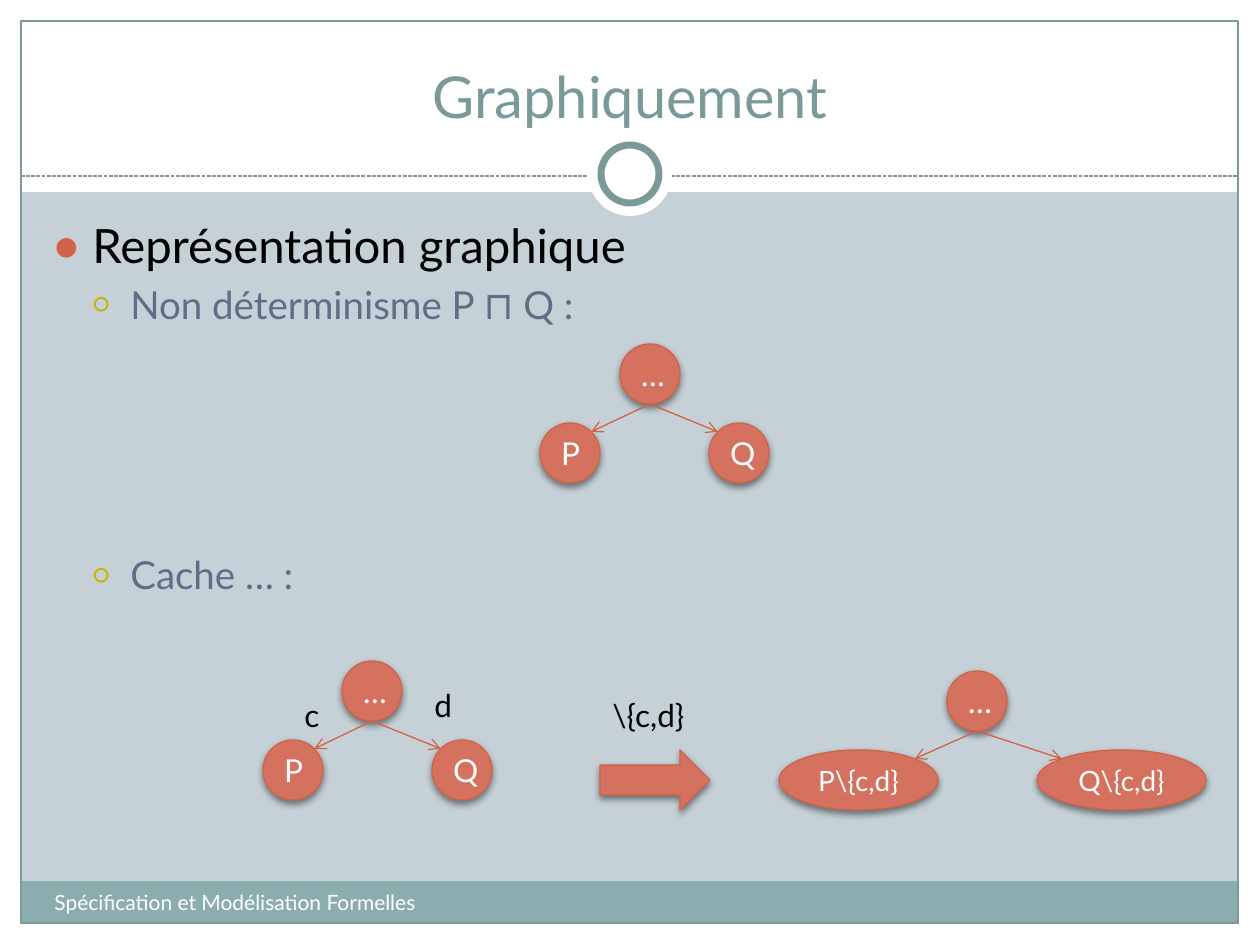
from dataclasses import dataclass
from math import cos, pi
from lxml.etree import SubElement
from pptx import Presentation
from pptx.dml.color import RGBColor
from pptx.enum.dml import MSO_LINE
from pptx.enum.shapes import MSO_CONNECTOR, MSO_SHAPE
from pptx.enum.text import MSO_ANCHOR, PP_ALIGN
from pptx.oxml.ns import qn
from pptx.util import Inches, Pt


@dataclass(frozen=True)
class Theme:
    font: str = "Lato"
    white: str = "FFFFFF"
    black: str = "000000"
    background: str = "C5D1D7"
    band: str = "8CADAE"
    frame: str = "7C999A"
    node: str = "D4725F"
    accent: str = "D16349"
    gold: str = "CCB400"
    slate: str = "646B86"
    title: int = 33
    heading: int = 27
    item: int = 22
    label: int = 18
    small_label: int = 16
    footer: int = 12


theme = Theme()
SCALE = Inches(1) / 126
NODE = 60
INDENT = 38

TITLE = "Graphiquement"
FOOTER = "Spécification et Modélisation Formelles"
BULLETS = [
    dict(text="Représentation graphique", size=theme.heading, color=theme.black,
         bullet="●", bullet_color=theme.accent, bullet_size=85, level=0, before=0),
    dict(text="Non déterminisme P ⊓ Q :", size=theme.item, color=theme.slate,
         bullet="○", bullet_color=theme.gold, bullet_size=70, level=1, before=4.4),
    dict(text="Cache … :", size=theme.item, color=theme.slate,
         bullet="○", bullet_color=theme.gold, bullet_size=70, level=1, before=128),
]
TREES = [
    dict(root=(620, 344), size=theme.label, children=[("P", 540, 60), ("Q", 709, 60)]),
    dict(root=(342, 661), size=theme.label, children=[("P", 263, 60), ("Q", 432, 60)]),
    dict(root=(947, 671), size=theme.small_label,
         children=[("P\\{c,d}", 779, 159), ("Q\\{c,d}", 1037, 169)]),
]
CHILD_DROP = 79
LABELS = [("c", 292, 690, 40), ("d", 422, 680, 44), ("\\{c,d}", 600, 690, 100)]
MARGINS = [(0, 924, 1260, 21), (0, 0, 1260, 192), (0, 0, 21, 945), (1239, 0, 21, 945)]

deck = Presentation()
deck.slide_width, deck.slide_height = Inches(10), Inches(7.5)
page = deck.slides.add_slide(deck.slide_layouts[6])
page.background.fill.solid()
page.background.fill.fore_color.rgb = RGBColor.from_string(theme.background)


def emu(*lengths):
    return [round(length * SCALE) for length in lengths]


def write(para, text, size=theme.label, color=theme.black, align=PP_ALIGN.LEFT):
    para.alignment = align
    span = para.add_run()
    span.text = text
    span.font.name = theme.font
    span.font.size = Pt(size)
    span.font.color.rgb = RGBColor.from_string(color)


def add_text(area, text, anchor=MSO_ANCHOR.TOP, wrap=True, **style):
    box = page.shapes.add_textbox(*emu(*area))
    box.text_frame.word_wrap = wrap
    box.text_frame.vertical_anchor = anchor
    write(box.text_frame.paragraphs[0], text, **style)


def add_outline(shape, color, width):
    shape.line.color.rgb = RGBColor.from_string(color)
    shape.line.width = Pt(width)


def add_block(kind, area, fill=None, line=None, width=0.75):
    shape = page.shapes.add_shape(kind, *emu(*area))
    shape.shadow.inherit = False
    if fill:
        shape.fill.solid()
        shape.fill.fore_color.rgb = RGBColor.from_string(fill)
    else:
        shape.fill.background()
    if line:
        add_outline(shape, line, width)
    else:
        shape.line.fill.background()
    return shape


def add_raised(kind, area):
    shape = add_block(kind, area, theme.node, theme.accent)
    effects = shape._element.spPr.find(qn("a:effectLst"))
    shadow = SubElement(effects, qn("a:outerShdw"), blurRad=str(Pt(4)), dist=str(Pt(2)),
                        dir="5400000", algn="ctr", rotWithShape="0")
    color = SubElement(shadow, qn("a:srgbClr"), val=theme.black)
    SubElement(color, qn("a:alpha"), val="45000")
    return shape


def add_node(text, area, size):
    shape = add_raised(MSO_SHAPE.OVAL, area)
    shape.text_frame.vertical_anchor = MSO_ANCHOR.MIDDLE
    write(shape.text_frame.paragraphs[0], text, size=size, color=theme.white,
          align=PP_ALIGN.CENTER)


def add_line(start, end, color):
    line = page.shapes.add_connector(MSO_CONNECTOR.STRAIGHT, *emu(*start, *end))
    add_outline(line, color, 0.75)
    SubElement(line._element.spPr, qn("a:effectLst"))
    return line


def add_tree(root, size, children):
    left, top = root
    add_node("…", (left, top, NODE, NODE), theme.label)
    start = (left + NODE / 2, top + NODE)
    for (text, child_left, width), side in zip(children, (1, -1)):
        child_top = top + CHILD_DROP
        add_node(text, (child_left, child_top, width, NODE), size)
        end = (child_left + width / 2 * (1 + side * cos(pi / 4)),
               child_top + NODE / 2 * (1 - cos(pi / 4)))
        edge = add_line(start, end, theme.accent)
        SubElement(edge.line._get_or_add_ln(), qn("a:tailEnd"), type="arrow")


def add_bullet(para, bullet, bullet_color, bullet_size, level, before, **style):
    write(para, **style)
    para.level = level
    para.space_before = Pt(before)
    properties = para._p.get_or_add_pPr()
    indent, = emu(INDENT)
    properties.set("marL", str(indent * (level + 1)))
    properties.set("indent", str(-indent))
    color = SubElement(properties, qn("a:buClr"))
    SubElement(color, qn("a:srgbClr"), val=bullet_color)
    SubElement(properties, qn("a:buSzPct"), val=str(bullet_size * 1000))
    SubElement(properties, qn("a:buFont"), typeface=theme.font)
    SubElement(properties, qn("a:buChar"), char=bullet)


for margin in MARGINS:
    add_block(MSO_SHAPE.RECTANGLE, margin, theme.white)
add_block(MSO_SHAPE.RECTANGLE, (21, 881, 1217, 43), theme.band)
add_block(MSO_SHAPE.RECTANGLE, (21, 21, 1217, 902), line=theme.frame)
add_line((21, 176), (1239, 176), theme.frame).line.dash_style = MSO_LINE.SQUARE_DOT
add_block(MSO_SHAPE.OVAL, (588, 132, 84, 84), theme.white)
add_block(MSO_SHAPE.OVAL, (601, 145, 58, 58), theme.white, theme.frame, 4)

add_text((42, 32, 1176, 104), TITLE, anchor=MSO_ANCHOR.BOTTOM, size=theme.title,
         color=theme.frame, align=PP_ALIGN.CENTER)
add_text((42, 883, 494, 50), FOOTER, size=theme.footer, color=theme.white)

body = page.shapes.add_textbox(*emu(42, 210, 1172, 630)).text_frame
body.word_wrap = True
for number, bullet in enumerate(BULLETS):
    add_bullet(body.add_paragraph() if number else body.paragraphs[0], **bullet)

for tree in TREES:
    add_tree(**tree)
for text, left, top, width in LABELS:
    add_text((left, top, width, 50), text, wrap=False)
add_raised(MSO_SHAPE.RIGHT_ARROW, (600, 750, 110, NODE))

deck.save("out.pptx")
